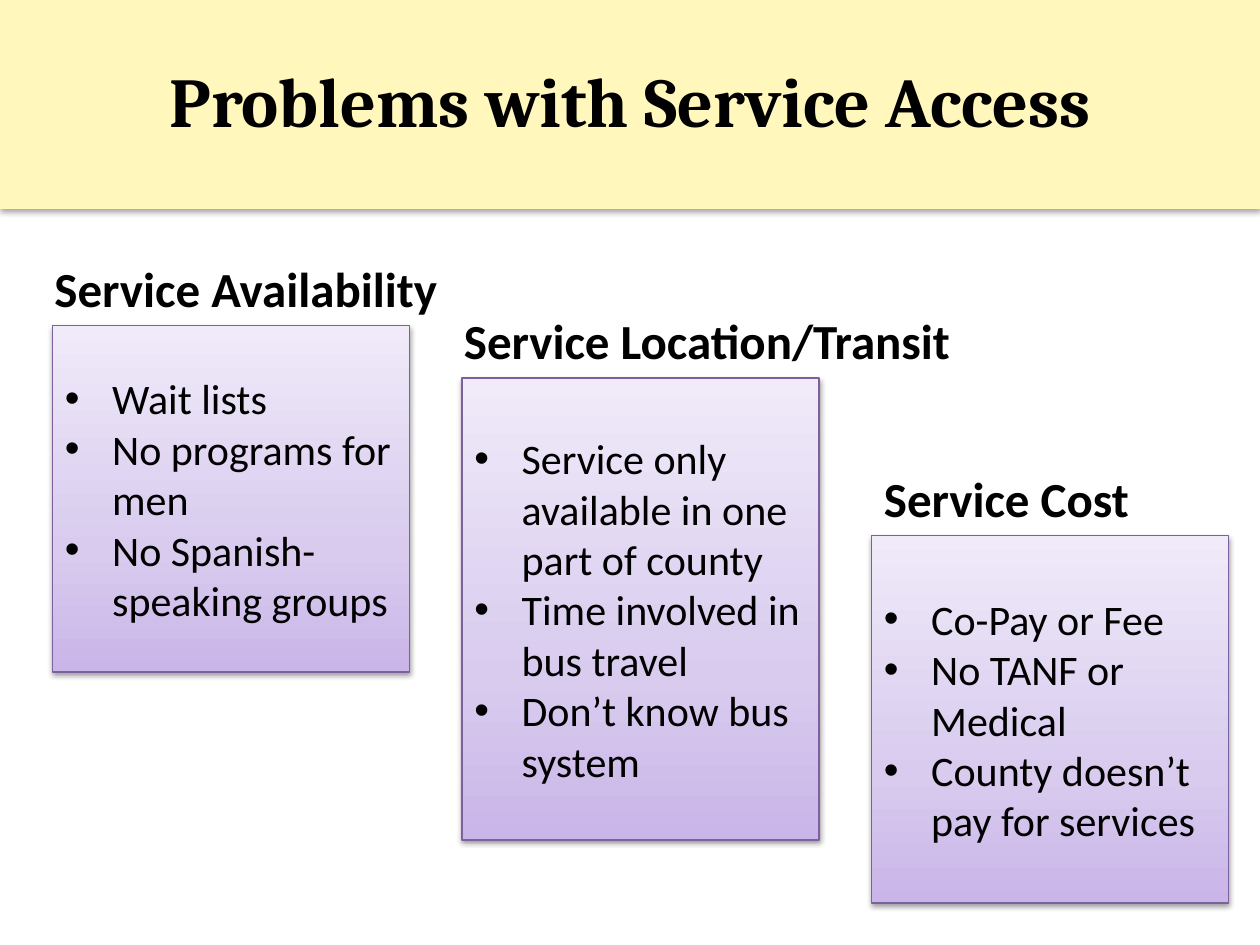
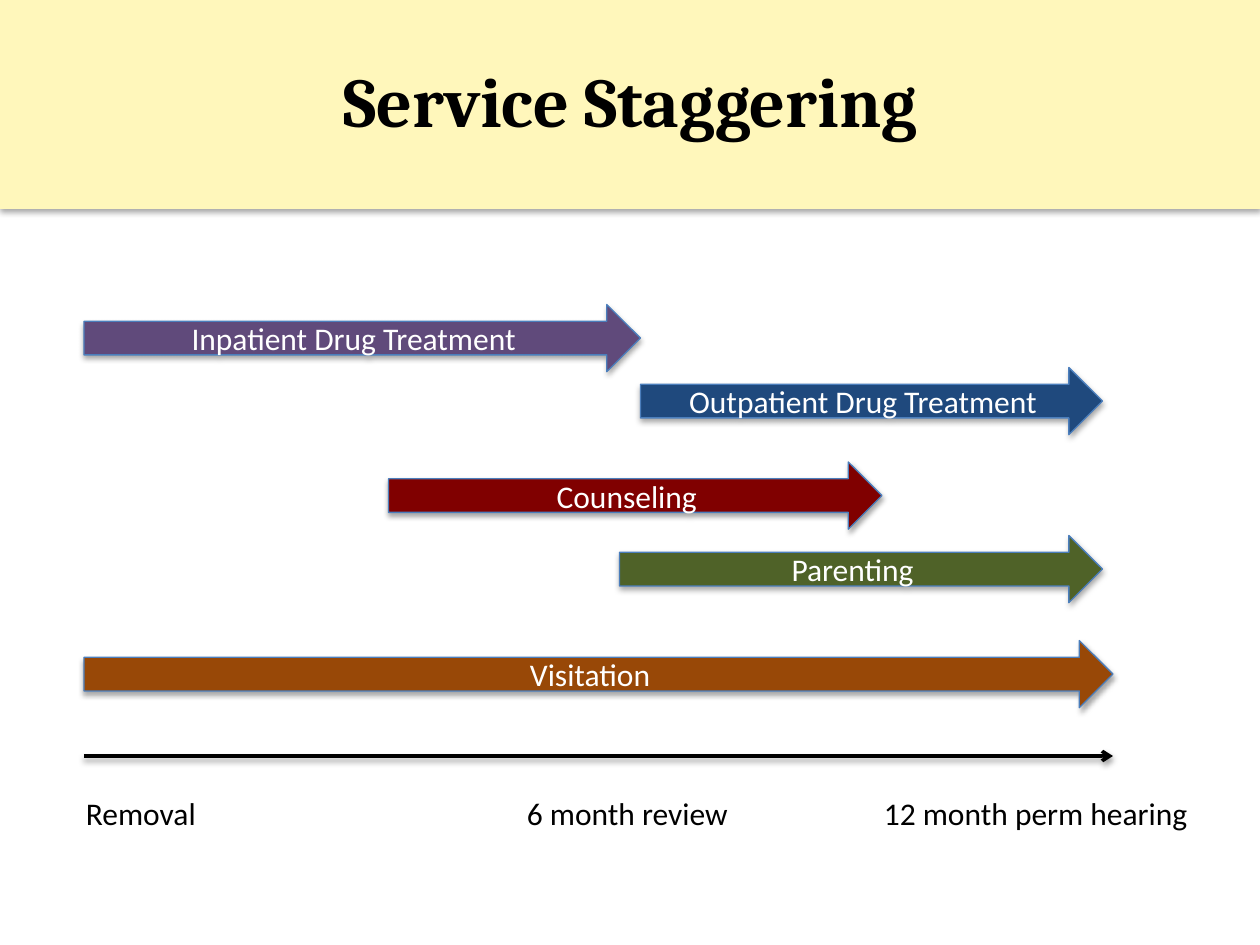
from copy import deepcopy

from lxml import etree
from pptx import Presentation
from pptx.dml.color import RGBColor
from pptx.enum.shapes import MSO_CONNECTOR, MSO_SHAPE
from pptx.enum.text import MSO_ANCHOR, PP_ALIGN
from pptx.oxml.ns import qn
from pptx.util import Emu, Pt

RECTANGLE = MSO_SHAPE.RECTANGLE
RIGHT_ARROW = MSO_SHAPE.RIGHT_ARROW
STRAIGHT = MSO_CONNECTOR.STRAIGHT
MIDDLE, TOP = MSO_ANCHOR.MIDDLE, MSO_ANCHOR.TOP
LEFT, CENTER = PP_ALIGN.LEFT, PP_ALIGN.CENTER

PX = 7620  # EMU per px, 120 px to the inch
COLORS = {
    "band": "FFF7BB", "text": "000000", "arrow text": "FFFFFF",
    "card line": "7D60A0", "arrow line": "4B7EBC",
    "inpatient": "604A7B", "outpatient": "1F497D", "counseling": "800000",
    "parenting": "4F6228", "visitation": "984807",
}
RGB = {name: RGBColor.from_string(value) for name, value in COLORS.items()}
CARD_GRADIENT = [(0, "C9B5E8"), (0.35, "D8CBEE"), (1, "F0EAF9")]


def cast_shadow(shape, opacity=35, distance=23000):
    """Give a shape or connector a soft shadow straight below it."""
    properties = shape._element.spPr
    effects = etree.SubElement(properties, qn("a:effectLst"))
    shadow = etree.SubElement(effects, qn("a:outerShdw"), blurRad="40000",
                              dist=str(distance), dir="5400000", rotWithShape="0")
    black = etree.SubElement(shadow, qn("a:srgbClr"), val="000000")
    etree.SubElement(black, qn("a:alpha"), val=str(opacity * 1000))


def write(shape, lines, size, color="text", font="Calibri", bold=False,
          align=LEFT, anchor=MIDDLE, bullets=False):
    frame = shape.text_frame
    frame.word_wrap = True
    frame.vertical_anchor = anchor
    frame.text = "\n".join(lines)
    for paragraph in frame.paragraphs:
        if bullets:
            layout = paragraph._p.get_or_add_pPr()
            layout.set("marL", str(45 * PX))
            layout.set("indent", str(-45 * PX))
            etree.SubElement(layout, qn("a:buFont"), typeface="Arial")
            etree.SubElement(layout, qn("a:buChar"), char="•")
        paragraph.alignment = align
        paragraph.font.name = font
        paragraph.font.size = Pt(size)
        paragraph.font.bold = bold
        paragraph.font.color.rgb = RGB[color]


deck = Presentation()
deck.slide_width, deck.slide_height = Emu(1200 * PX), Emu(900 * PX)

# Title band on both slides
slides = []
for heading in ["Problems with Service Access", "Service Staggering"]:
    slide = deck.slides.add_slide(deck.slide_layouts[6])
    band = slide.shapes.add_shape(RECTANGLE, 0, -PX, 1200 * PX, 200 * PX)
    band.fill.solid()
    band.fill.fore_color.rgb = RGB["band"]
    band.line.fill.background()
    cast_shadow(band)
    title = slide.shapes.add_textbox(60 * PX, 20 * PX, 1080 * PX, 150 * PX)
    write(title, [heading], 40, font="Cambria", bold=True, align=CENTER)
    slides.append(slide)
access, staggering = slides

# Problem cards: heading, heading left and width, card top and height, points
problems = [
    ("Service Availability", 40, 390, 310, 330,
     ["Wait lists", "No programs for men", "No Spanish-speaking groups"]),
    ("Service Location/Transit", 430, 660, 360, 440,
     ["Service only available in one part of county",
      "Time involved in bus travel", "Don’t know bus system"]),
    ("Service Cost", 830, 330, 510, 350,
     ["Co-Pay or Fee", "No TANF or Medical", "County doesn’t pay for services"]),
]
for column, (heading, left, width, top, height, points) in enumerate(problems):
    card = access.shapes.add_shape(RECTANGLE, (50 + 390 * column) * PX, top * PX,
                                   340 * PX, height * PX)
    card.fill.gradient()
    card.fill.gradient_angle = 90
    stop_list = card._element.spPr.find(".//" + qn("a:gsLst"))
    stop_list.append(deepcopy(stop_list[0]))
    for stop, (position, color) in zip(card.fill.gradient_stops, CARD_GRADIENT):
        stop.position = position
        stop.color.rgb = RGBColor.from_string(color)
    card.line.color.rgb = RGB["card line"]
    card.line.width = Pt(0.75)
    cast_shadow(card, 38, 20000)
    write(card, points, 24, bullets=True)

    card_heading = access.shapes.add_textbox(left * PX, (top - 70) * PX,
                                             width * PX, 105 * PX)
    write(card_heading, [heading], 28, bold=True, anchor=TOP)

# Service arrows: name, colour, left, top, width
services = [
    ("Inpatient Drug Treatment", "inpatient", 80, 290, 530),
    ("Outpatient Drug Treatment", "outpatient", 610, 350, 440),
    ("Counseling", "counseling", 370, 440, 470),
    ("Parenting", "parenting", 590, 510, 460),
    ("Visitation", "visitation", 80, 610, 980),
]
for name, color, left, top, width in services:
    service = staggering.shapes.add_shape(RIGHT_ARROW, left * PX, top * PX,
                                          width * PX, 64 * PX)
    service.fill.solid()
    service.fill.fore_color.rgb = RGB[color]
    service.line.color.rgb = RGB["arrow line"]
    service.line.width = Pt(0.75)
    cast_shadow(service)
    write(service, [name], 18, "arrow text", align=CENTER)

# Timeline with its milestones
timeline = staggering.shapes.add_connector(STRAIGHT, 80 * PX, 720 * PX,
                                           1060 * PX, 720 * PX)
timeline.line.color.rgb = RGB["text"]
timeline.line.width = Pt(2)
etree.SubElement(timeline.line._get_or_add_ln(), qn("a:tailEnd"), type="arrow")
cast_shadow(timeline, 38, 20000)

milestones = [("Removal", 70, 150), ("6 month review", 490, 230),
              ("12 month perm hearing", 830, 360)]
for name, left, width in milestones:
    milestone = staggering.shapes.add_textbox(left * PX, 750 * PX,
                                              width * PX, 48 * PX)
    write(milestone, [name], 18, anchor=TOP)

deck.save("out.pptx")
